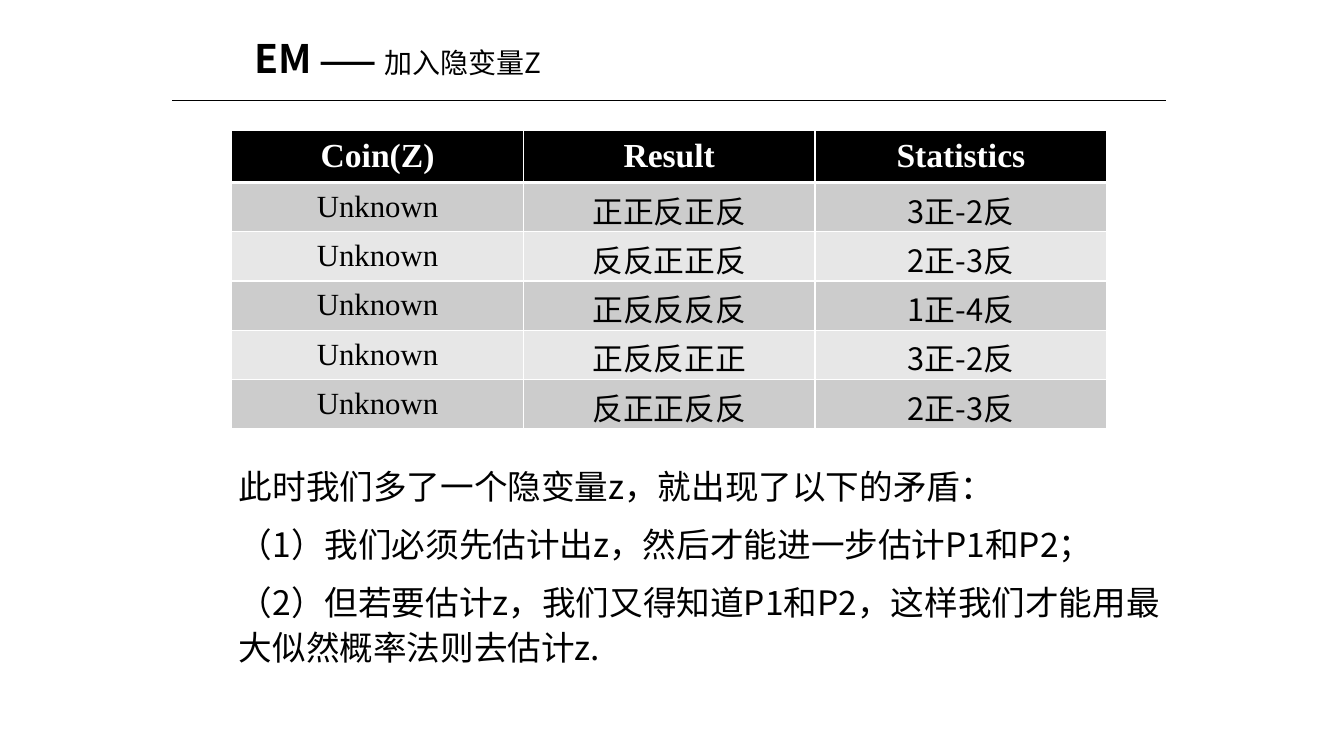
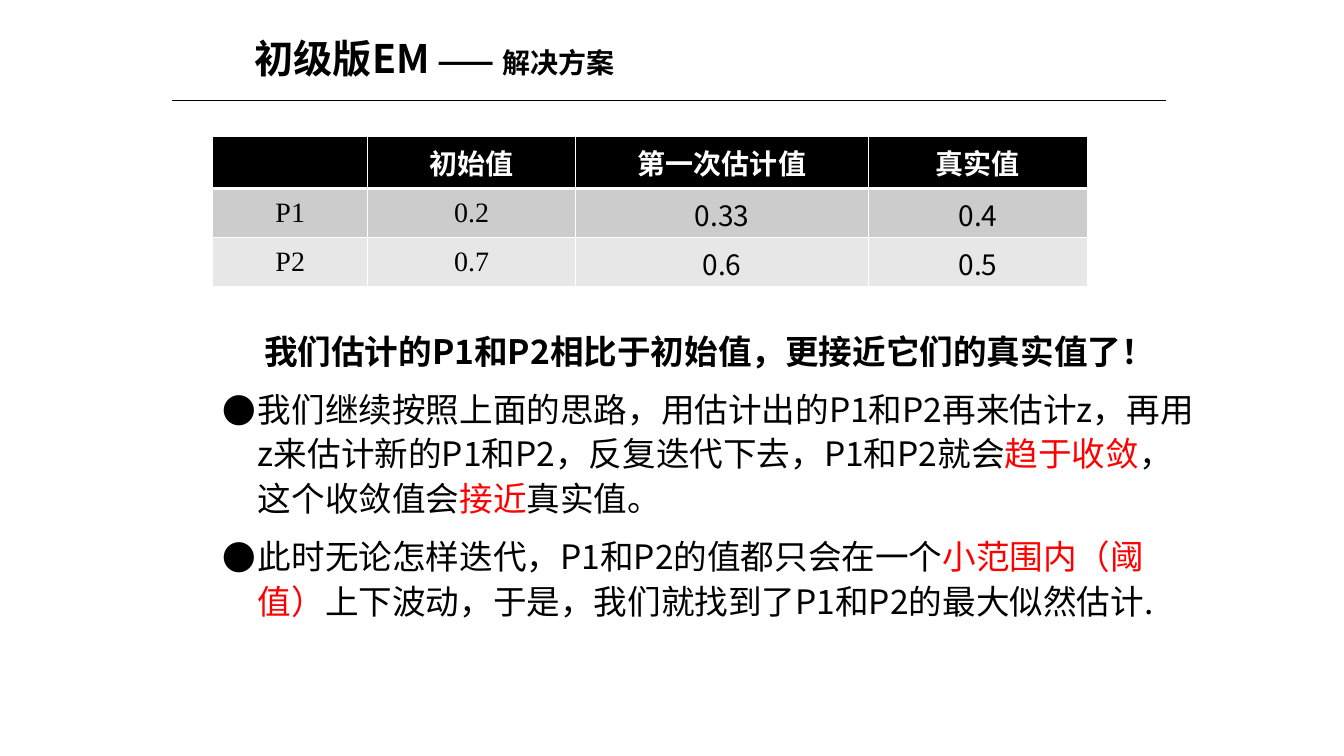
import pptx
import pptx.dml.color
import pptx.enum.shapes
import pptx.enum.text
import pptx.oxml
import pptx.oxml.ns
import pptx.util

Cm = pptx.util.Cm
Pt = pptx.util.Pt
ALIGN = pptx.enum.text.PP_ALIGN
ANCHOR = pptx.enum.text.MSO_ANCHOR


def apply(target, values):
    for name, value in values.items():
        setattr(target, name, value)


def xml(tag, content="", **attributes):
    listed = " ".join(f'{name}="{value}"' for name, value in attributes.items())
    return pptx.oxml.parse_xml(
        f'<a:{tag} {pptx.oxml.ns.nsdecls("a")} {listed}>{content}</a:{tag}>')


class Deck:
    colours = {"ink": "000000", "paper": "FFFFFF", "accent": "FF0000",
               "odd": "CCCCCC", "even": "E7E7E7"}
    sans = "Noto Sans CJK SC"
    serif = "Times New Roman"
    header_height = Cm(1.32)
    row_height = Cm(1.24)

    def __init__(self):
        self.file = pptx.Presentation()
        apply(self.file, {"slide_width": Cm(33.87), "slide_height": Cm(19.05)})
        self.slide = None

    def colour(self, name):
        return pptx.dml.color.RGBColor.from_string(self.colours[name])

    def run(self, paragraph, text, size, bold=False, colour="ink", font=sans):
        run = paragraph.add_run()
        run.text = text
        apply(run.font, {"size": Pt(size), "bold": bold, "name": font})
        run.font.color.rgb = self.colour(colour)
        run.font._element.append(xml("ea", typeface=font))

    def frame(self, left, top, width, height):
        box = self.slide.shapes.add_textbox(Cm(left), Cm(top), Cm(width), Cm(height))
        box.text_frame.word_wrap = True
        return box.text_frame

    def start(self, topic, subtitle, subtitle_bold):
        self.slide = self.file.slides.add_slide(self.file.slide_layouts[6])
        rule = self.slide.shapes.add_connector(
            pptx.enum.shapes.MSO_CONNECTOR.STRAIGHT,
            Cm(4.34), Cm(2.54), Cm(29.39), Cm(2.54))
        rule.line.width = Pt(0.5)
        rule.line.color.rgb = self.colour("ink")
        rule._element.spPr.append(xml("effectLst"))
        title = self.frame(6.17, 0.74, 20.42, 1.45)
        title.auto_size = pptx.enum.text.MSO_AUTO_SIZE.SHAPE_TO_FIT_TEXT
        heading = title.paragraphs[0]
        self.run(heading, topic, 28, True)
        self.run(heading, " —— ", 24, True)
        self.run(heading, subtitle, 20, subtitle_bold)

    def body(self, place, paragraphs, spacing):
        text = self.frame(*place)
        for number, (style, pieces) in enumerate(paragraphs):
            paragraph = text.add_paragraph() if number else text.paragraphs[0]
            apply(paragraph, spacing | {"alignment": style.get("align", ALIGN.LEFT)})
            properties = paragraph._element.get_or_add_pPr()
            properties.set("marL", str(Cm(style["margin"])))
            properties.set("indent", str(Cm(style.get("indent", 0))))
            if "bullet" in style:
                properties.append(xml("buFont", typeface=self.sans))
                properties.append(xml("buChar", char=style["bullet"]))
            for piece, colour in pieces:
                self.run(paragraph, piece, 24, style.get("bold", False), colour)

    def borders(self, cell, row):
        widths = {"lnL": 1, "lnR": 1,
                  "lnT": 3 if row == 1 else 1, "lnB": 3 if row == 0 else 1}
        white = f'<a:solidFill><a:srgbClr val="{self.colours["paper"]}"/></a:solidFill>'
        properties = cell._tc.get_or_add_tcPr()
        for position, (side, width) in enumerate(widths.items()):
            properties.insert(position, xml(side, white, w=Pt(width)))

    def table(self, left, top, widths, rows, header_size, size, header_font, serif_columns):
        table = self.slide.shapes.add_table(
            len(rows), len(widths), Cm(left), Cm(top), Cm(sum(widths)),
            self.header_height + self.row_height * (len(rows) - 1)).table
        for column, width in zip(table.columns, widths):
            column.width = Cm(width)
        for r, values in enumerate(rows):
            table.rows[r].height = self.row_height if r else self.header_height
            fill = ("odd" if r % 2 else "even") if r else "ink"
            for c, value in enumerate(values):
                cell = table.cell(r, c)
                cell.vertical_anchor = ANCHOR.MIDDLE
                cell.fill.solid()
                cell.fill.fore_color.rgb = self.colour(fill)
                self.borders(cell, r)
                if not value:
                    continue
                paragraph = cell.text_frame.paragraphs[0]
                paragraph.alignment = ALIGN.CENTER
                if r == 0:
                    self.run(paragraph, value, header_size, True, "paper", header_font)
                else:
                    font = self.serif if c < serif_columns else self.sans
                    self.run(paragraph, value, size, font=font)


def hidden_variable(deck):
    deck.start("EM", "加入隐变量Z", False)
    tosses = [("正正反正反", "3正-2反"), ("反反正正反", "2正-3反"),
              ("正反反反反", "1正-4反"), ("正反反正正", "3正-2反"),
              ("反正正反反", "2正-3反")]
    rows = [("Coin(Z)", "Result", "Statistics")]
    rows += [("Unknown", *toss) for toss in tosses]
    deck.table(5.84, 3.28, [7.35] * 3, rows, 24, 22, deck.serif, 1)
    dilemma = ["此时我们多了一个隐变量z，就出现了以下的矛盾：",
               "（1）我们必须先估计出z，然后才能进一步估计P1和P2；",
               "（2）但若要估计z，我们又得知道P1和P2，这样我们才能用最大似然概率法则去估计z."]
    deck.body((5.13, 11.51, 25.02, 6.81),
              [({"margin": 0.64}, [(line, "ink")]) for line in dilemma],
              {"line_spacing": 1.1, "space_before": Pt(10)})


def solution(deck):
    deck.start("初级版EM", "解决方案", True)
    estimates = [("", "初始值", "第一次估计值", "真实值"),
                 ("P1", "0.2", "0.33", "0.4"),
                 ("P2", "0.7", "0.6", "0.5")]
    deck.table(5.36, 3.43, [3.91, 5.23, 7.39, 5.51], estimates, 20, 20, deck.sans, 2)
    finding = {"margin": 1.27, "indent": -1.27, "align": ALIGN.CENTER, "bold": True}
    point = {"margin": 0.89, "indent": -0.89, "bullet": "●"}
    deck.body((5.36, 8.1, 25.04, 8.13), [
        (finding, [("我们估计的P1和P2相比于初始值，更接近它们的真实值了！", "ink")]),
        (point, [("我们继续按照上面的思路，用估计出的P1和P2再来估计z，"
                  "再用z来估计新的P1和P2，反复迭代下去，P1和P2就会", "ink"),
                 ("趋于收敛", "accent"), ("，这个收敛值会", "ink"),
                 ("接近", "accent"), ("真实值。", "ink")]),
        (point, [("此时无论怎样迭代，P1和P2的值都只会在一个", "ink"),
                 ("小范围内（阈值）", "accent"),
                 ("上下波动，于是，我们就找到了P1和P2的最大似然估计.", "ink")]),
    ], {"line_spacing": 1.11, "space_before": Pt(9.3)})


def main():
    deck = Deck()
    hidden_variable(deck)
    solution(deck)
    deck.file.save("out.pptx")


if __name__ == "__main__":
    main()
